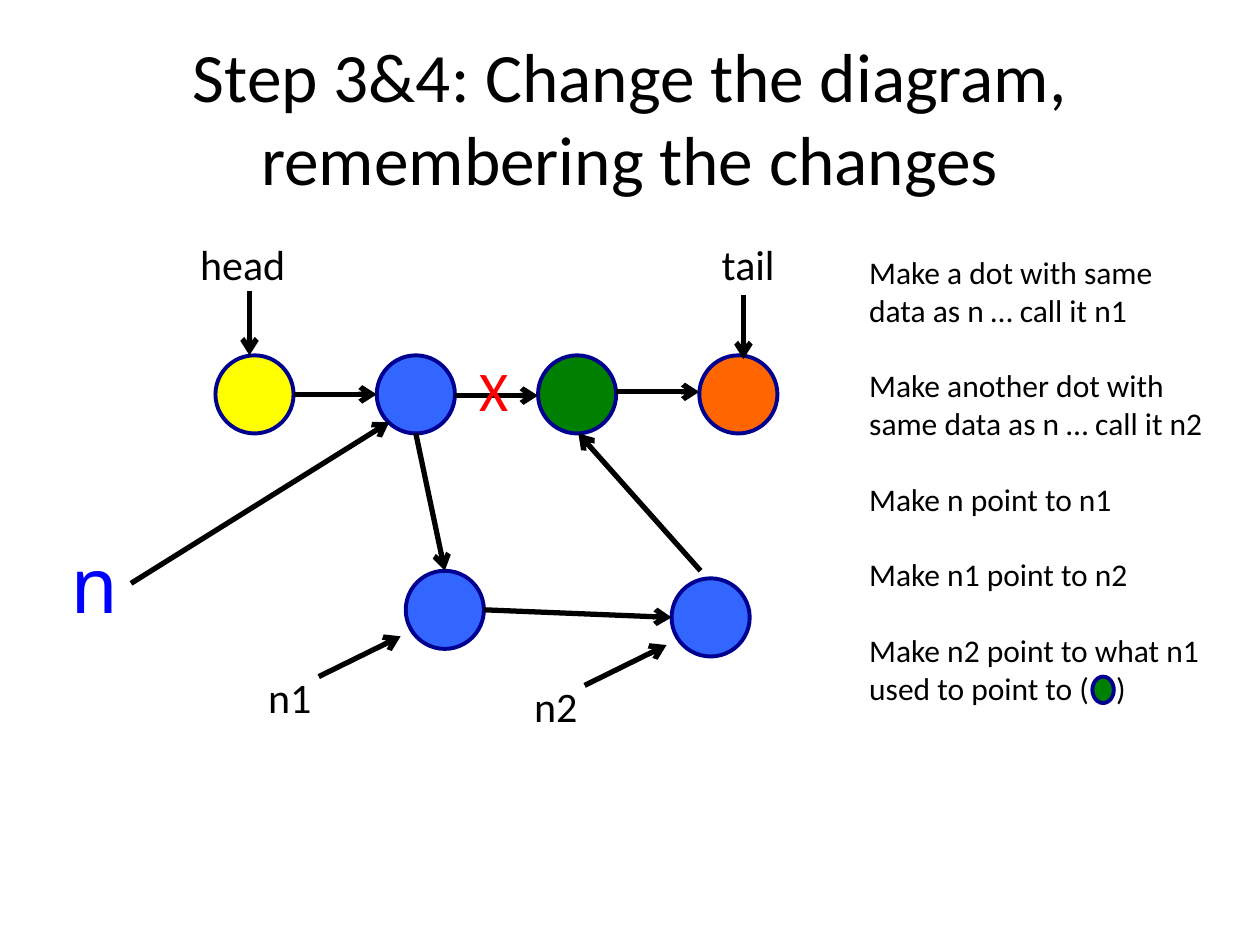
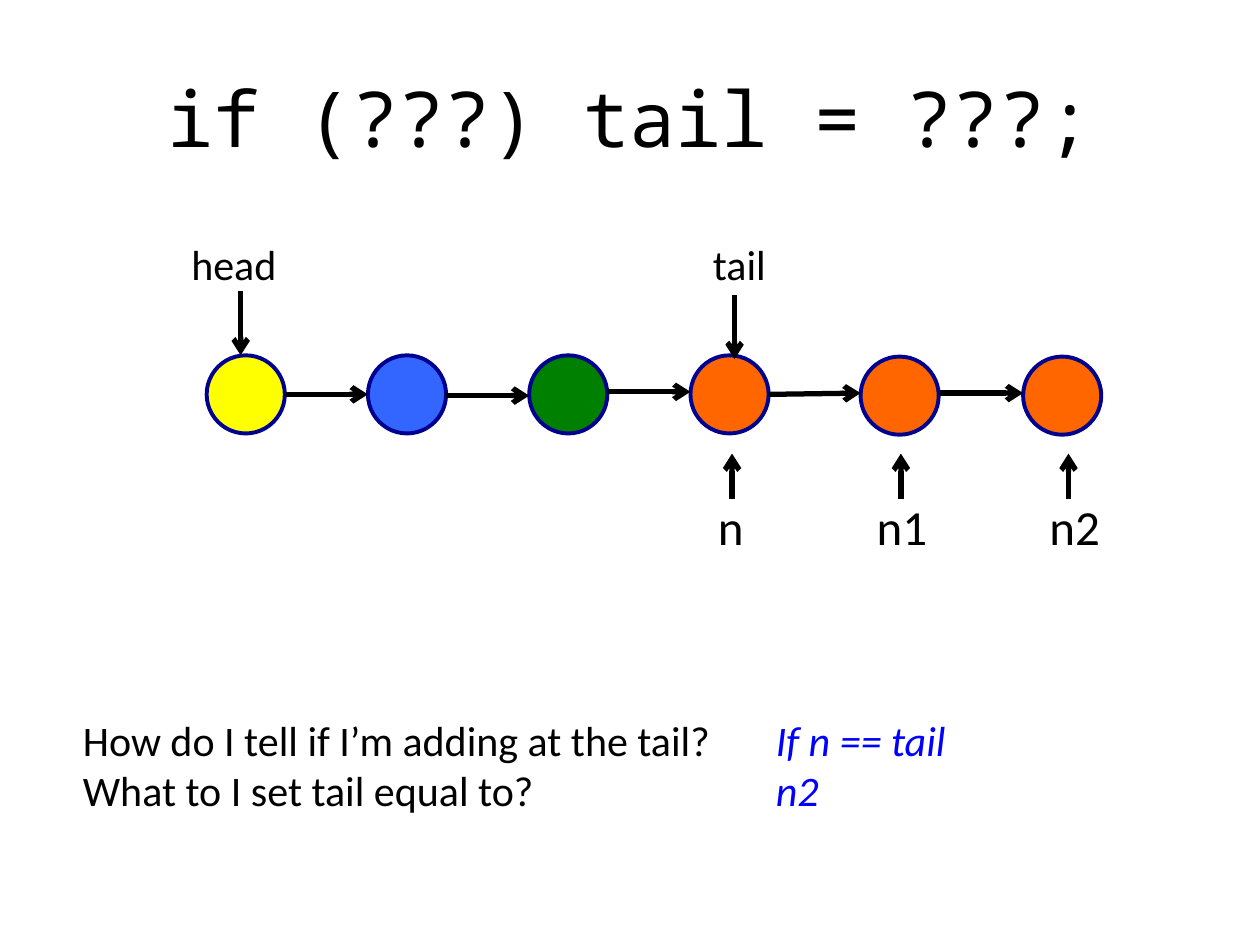
"""Build two slides on inserting dots into a linked list."""
from lxml import etree
from pptx import Presentation
from pptx.dml.color import RGBColor
from pptx.enum.shapes import MSO_CONNECTOR, MSO_SHAPE
from pptx.enum.text import MSO_ANCHOR, PP_ALIGN
from pptx.oxml.ns import qn
from pptx.util import Inches, Pt

STRAIGHT = MSO_CONNECTOR.STRAIGHT
OVAL = MSO_SHAPE.OVAL
MIDDLE = MSO_ANCHOR.MIDDLE
CENTER = PP_ALIGN.CENTER

BLACK = RGBColor(0x00, 0x00, 0x00)
NAVY = RGBColor(0x00, 0x00, 0x90)
YELLOW = RGBColor(0xFF, 0xFF, 0x00)
SKY = RGBColor(0x33, 0x66, 0xFF)
GREEN = RGBColor(0x00, 0x80, 0x00)
ORANGE = RGBColor(0xFF, 0x66, 0x00)
BLUE = RGBColor(0x00, 0x00, 0xFF)
RED = RGBColor(0xFF, 0x00, 0x00)
SANS = "Calibri"
MONO = "Noto Sans Mono"
DOT = 0.62
PITCH = 1.28


def write(slide, text, box, size, color=BLACK, font=SANS, italic=False):
    frame = slide.shapes.add_textbox(*map(Inches, box)).text_frame
    frame.word_wrap = True
    frame.text = text
    for paragraph in frame.paragraphs:
        for run in paragraph.runs:
            run.font.size = Pt(size)
            run.font.name = font
            run.font.color.rgb = color
            run.font.italic = italic
    return frame


def point(slide, start_x, start_y, end_x, end_y):
    ends = map(Inches, (start_x, start_y, end_x, end_y))
    arrow = slide.shapes.add_connector(STRAIGHT, *ends)
    arrow.line.color.rgb = BLACK
    arrow.line.width = Pt(3)
    etree.SubElement(arrow.line._get_or_add_ln(), qn("a:tailEnd"), type="arrow")
    etree.SubElement(arrow._element.spPr, qn("a:effectLst"))


prs = Presentation()
prs.slide_width = Inches(10)
prs.slide_height = Inches(7.5)

insert_title = "Step 3&4: Change the diagram, remembering the changes"
insert_dots = [
    (3.22, 4.53, DOT, DOT, SKY),
    (5.33, 4.59, DOT, DOT, SKY),
    (8.67, 5.37, 0.17, 0.21, GREEN),
]
tail_dots = [(x, 2.83, DOT, DOT, ORANGE) for x in (6.83, 8.12)]
slides = []

for title, size, font, left, extra_dots in (
    (insert_title, 39.6, SANS, 1.71, insert_dots),
    ("if (???) tail = ???;", 44, MONO, 1.64, tail_dots),
):
    slide = prs.slides.add_slide(prs.slide_layouts[6])
    slides.append(slide)
    heading = write(slide, title, (0.5, 0.3, 9, 1.25), size, font=font)
    heading.vertical_anchor = MIDDLE
    heading.paragraphs[0].alignment = CENTER

    chain = [
        (left + i * PITCH, 2.82, DOT, DOT, color)
        for i, color in enumerate((YELLOW, SKY, GREEN, ORANGE))
    ]
    for x, y, width, height, color in chain + extra_dots:
        dot = slide.shapes.add_shape(OVAL, *map(Inches, (x, y, width, height)))
        dot.shadow.inherit = False
        dot.fill.solid()
        dot.fill.fore_color.rgb = color
        dot.line.color.rgb = NAVY
        dot.line.width = Pt(2.25)

    for i, y in enumerate((3.13, 3.14, 3.11)):
        point(slide, left + DOT + i * PITCH, y, left + (i + 1) * PITCH, y)
    for label, label_x, arrow_x, top in (
        ("head", -0.22, 0.27, 2.31),
        ("tail", 3.92, 4.19, 2.34),
    ):
        write(slide, label, (left + label_x, 1.84, 1.1, 0.5), 24)
        point(slide, left + arrow_x, top, left + arrow_x, top + 0.51)

insert_slide, tail_slide = slides

for ends in (
    (1.04, 4.63, 3.09, 3.35),
    (3.3, 3.44, 3.53, 4.53),
    (3.84, 4.84, 5.33, 4.9),
    (5.56, 4.53, 4.59, 3.44),
):
    point(insert_slide, *ends)
for label, x, y in (("n1", 2.03, 5.28), ("n2", 4.14, 5.35)):
    write(insert_slide, label, (x, y, 0.7, 0.5), 24)
    point(insert_slide, x + 0.5, y + 0.09, x + 1.15, y - 0.23)
write(insert_slide, "n", (0.47, 4.21, 0.7, 0.84), 44, BLUE, MONO)
write(insert_slide, "X", (3.71, 2.77, 0.6, 0.64), 32, RED)

changes = (
    "Make a dot with same data as n … call it n1",
    "Make another dot with same data as n … call it n2",
    "Make n point to n1",
    "Make n1 point to n2",
    "Make n2 point to what n1 used to point to (\t)",
)
steps = write(insert_slide, "\n".join(changes), (6.8, 1.96, 2.92, 3.74), 18)
for step in steps.paragraphs[1:]:
    step.space_before = Pt(21.6)
tabs = etree.SubElement(steps.paragraphs[-1]._p.get_or_add_pPr(), qn("a:tabLst"))
etree.SubElement(tabs, qn("a:tab"), pos=str(Inches(1.96)), algn="l")

point(tail_slide, 6.1, 3.13, 6.83, 3.12)
point(tail_slide, 7.46, 3.12, 8.12, 3.12)
for label, label_x, arrow_x in (
    ("n", 5.6, 5.81),
    ("n1", 6.86, 7.15),
    ("n2", 8.23, 8.48),
):
    write(tail_slide, label, (label_x, 3.89, 0.8, 0.57), 28)
    point(tail_slide, arrow_x, 3.96, arrow_x, 3.6)

questions = "How do I tell if I’m adding at the tail?\nWhat to I set tail equal to?"
write(tail_slide, questions, (0.56, 5.62, 5.4, 0.91), 24)
write(tail_slide, "If n == tail\nn2", (6.06, 5.62, 1.8, 0.91), 24, BLUE, italic=True)

prs.save("out.pptx")
